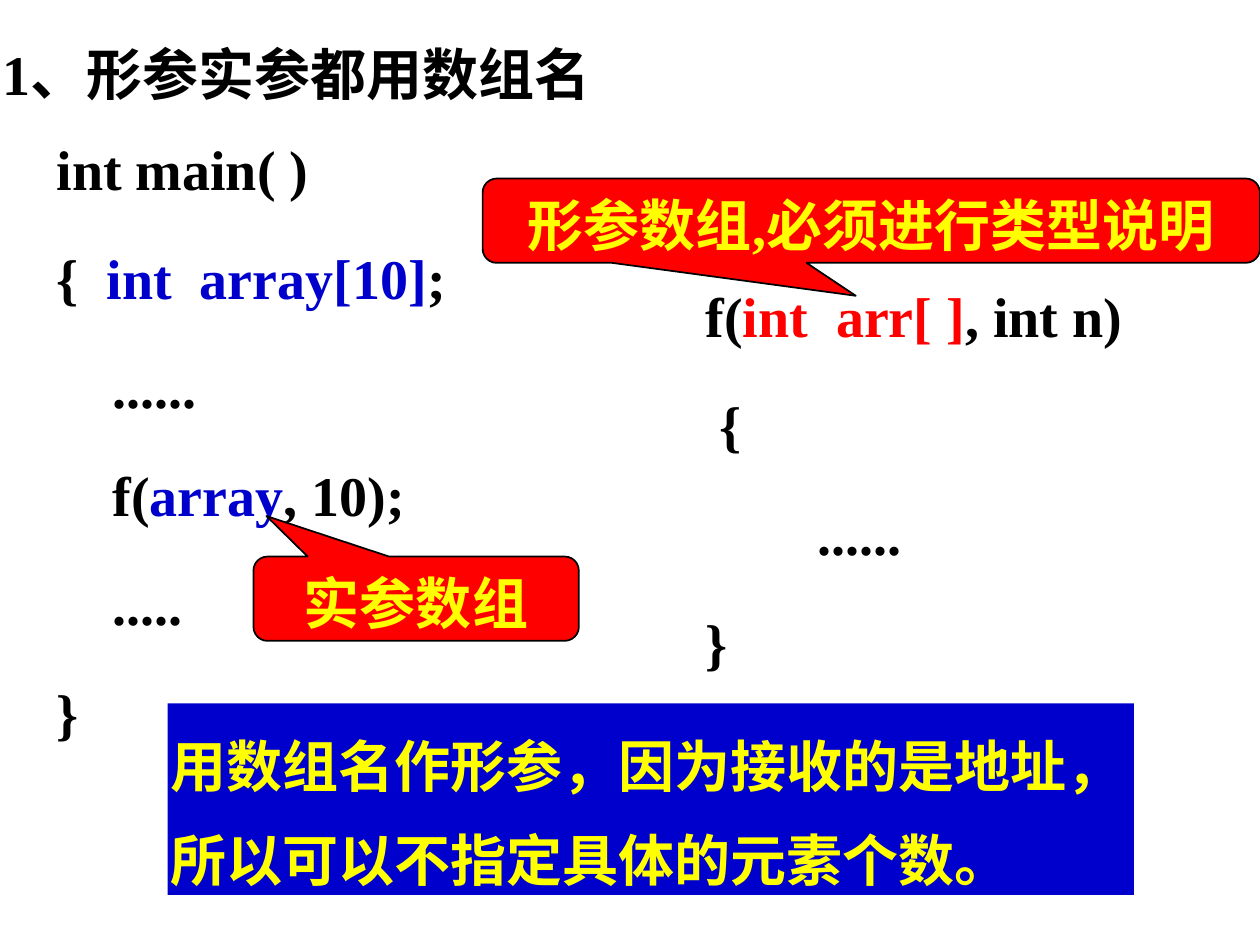
from pptx import Presentation
from pptx.dml.color import RGBColor
from pptx.enum.shapes import MSO_SHAPE
from pptx.enum.text import MSO_ANCHOR, MSO_AUTO_SIZE, PP_ALIGN
from pptx.util import Cm, Pt

COLORS = {
    "black": "000000",
    "blue": "0000CC",
    "red": "FF0000",
    "yellow": "FFFF00",
}
FONT = "Times New Roman"

MAIN_CODE = [
    [("int main( )", "black")],
    [("{  ", "black"), ("int  array[10]", "blue"), (";", "black")],
    [("    ......", "black")],
    [("    f(", "black"), ("array", "blue"), (", 10);", "black")],
    [("    .....", "black")],
    [("}", "black")],
]
FUNCTION_CODE = [
    [("f(", "black"), ("int  arr[ ]", "red"), (", int n)", "black")],
    [(" {", "black")],
    [("        ......", "black")],
    [("}", "black")],
]


def rgb(name):
    return RGBColor.from_string(COLORS[name])


def fill_text(tf, lines, spacing=1.1, align=PP_ALIGN.LEFT):
    """Write lines, each a list of (text, colour name) runs."""
    tf.word_wrap = True
    tf.margin_left = tf.margin_right = Cm(0.05)
    tf.margin_top = tf.margin_bottom = Cm(0.03)
    for i, runs in enumerate(lines):
        p = tf.add_paragraph() if i else tf.paragraphs[0]
        p.alignment = align
        p.line_spacing = spacing
        p.space_before = Pt(20 if i else 0)
        for text, color in runs:
            r = p.add_run()
            r.text = text
            r.font.name = FONT
            r.font.size = Pt(32)
            r.font.bold = True
            r.font.color.rgb = rgb(color)


def add_text(s, left, top, width, height, lines):
    sp = s.shapes.add_textbox(Cm(left), Cm(top), Cm(width), Cm(height))
    fill_text(sp.text_frame, lines)
    sp.text_frame.auto_size = MSO_AUTO_SIZE.SHAPE_TO_FIT_TEXT


def add_filled(s, kind, left, top, width, height, color):
    sp = s.shapes.add_shape(kind, Cm(left), Cm(top), Cm(width), Cm(height))
    sp.shadow.inherit = False
    sp.fill.solid()
    sp.fill.fore_color.rgb = rgb(color)
    return sp


def add_callout(s, left, top, width, tip, text):
    """Red callout; tip is its offset from the centre as shares of the size."""
    sp = add_filled(s, MSO_SHAPE.ROUNDED_RECTANGULAR_CALLOUT,
                    left, top, width, 1.7, "red")
    sp.adjustments[0], sp.adjustments[1] = tip
    sp.line.color.rgb = rgb("black")
    sp.line.width = Pt(1)
    fill_text(sp.text_frame, [[(text, "yellow")]], align=PP_ALIGN.CENTER)
    sp.text_frame.vertical_anchor = MSO_ANCHOR.MIDDLE


def add_note(s, left, top, width, height, text):
    sp = add_filled(s, MSO_SHAPE.RECTANGLE, left, top, width, height, "blue")
    sp.line.fill.background()
    fill_text(sp.text_frame, [[(text, "yellow")]], spacing=1.4)
    sp.text_frame.vertical_anchor = MSO_ANCHOR.TOP


def main():
    prs = Presentation()
    prs.slide_width, prs.slide_height = Cm(25.4), Cm(19.05)
    s = prs.slides.add_slide(prs.slide_layouts[6])

    add_text(s, 1.09, 2.54, 9.98, 12.52, MAIN_CODE)
    add_text(s, 14.17, 5.51, 9.98, 8.13, FUNCTION_CODE)
    add_callout(s, 5.11, 11.22, 6.56, (-0.46, -0.98), "实参数组")
    add_callout(s, 9.73, 3.6, 15.67, (-0.02, 0.89), "形参数组,必须进行类型说明")
    add_note(s, 3.38, 14.18, 19.48, 3.86,
             "用数组名作形参，因为接收的是地址，所以可以不指定具体的元素个数。")
    add_text(s, 0, 0.64, 16.51, 1.55, [[("1、形参实参都用数组名", "black")]])

    prs.save("out.pptx")


if __name__ == "__main__":
    main()
